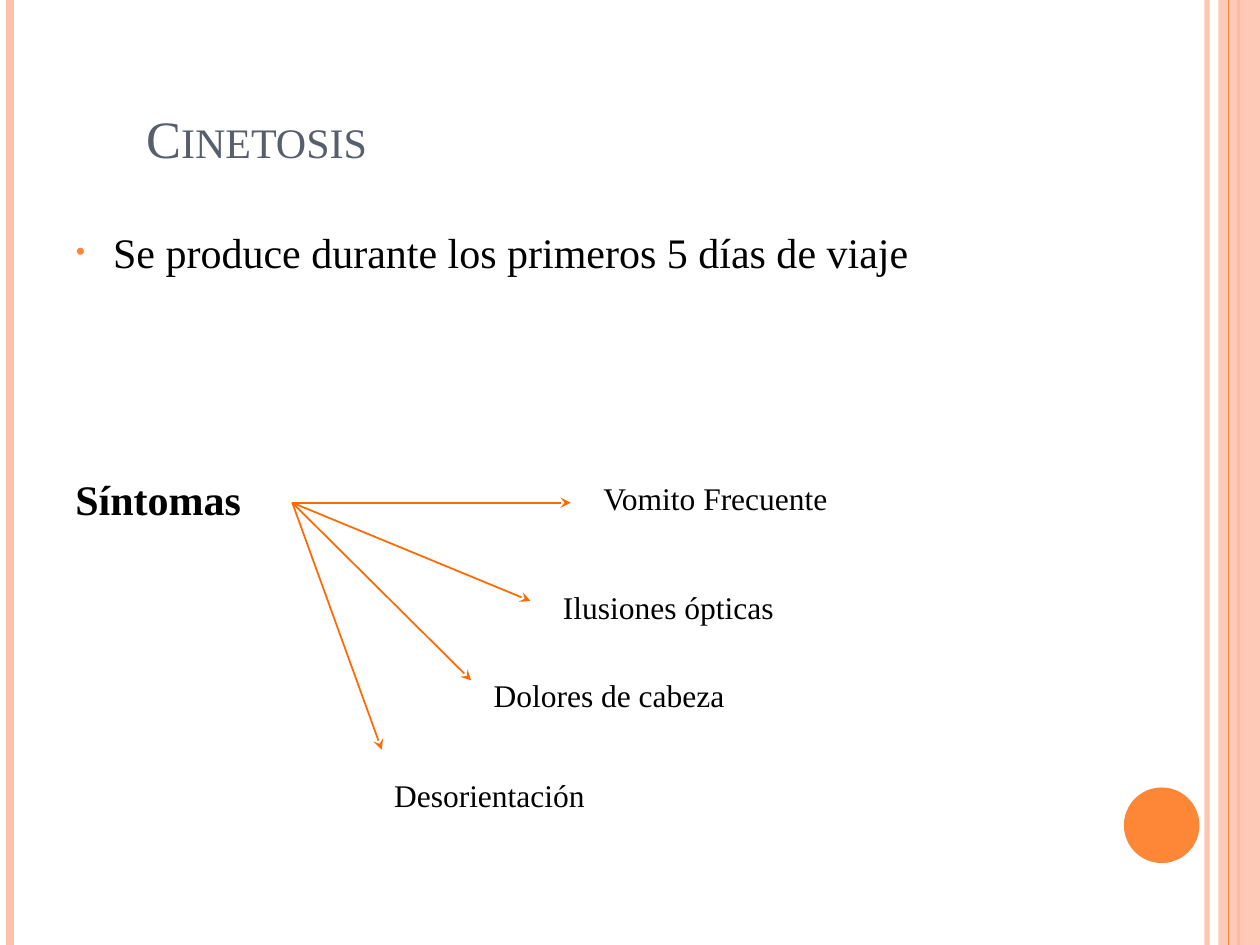
import pptx
import pptx.util
from dataclasses import dataclass
from lxml import etree
from pptx.dml.color import RGBColor
from pptx.enum.shapes import MSO_CONNECTOR, MSO_SHAPE
from pptx.enum.text import MSO_ANCHOR, MSO_AUTO_SIZE, PP_ALIGN
from pptx.oxml.ns import qn
from pptx.util import Inches, Pt


@dataclass(frozen=True)
class Theme:
    font: str = "Times New Roman"
    heading: str = "575F6D"
    ink: str = "000000"
    accent: str = "FE8637"
    tint: str = "FEC2AC"
    arrow: str = "FF6803"
    title_size: int = 30
    body_size: int = 24
    label_size: int = 18


THEME = Theme()
WIDTH, HEIGHT = 10, 7.5

TITLE = "Cinetosis"
STATEMENT = "Se produce durante los primeros 5 días de viaje"
SYMPTOMS_HEADING = "Síntomas"
# symptom, arrow tip, label corner
SYMPTOMS = [
    ("Vomito Frecuente", (4.53, 3.99), (4.69, 3.75)),
    ("Ilusiones ópticas", (4.21, 4.77), (4.37, 4.62)),
    ("Dolores de cabeza", (3.74, 5.4), (3.82, 5.32)),
    ("Desorientación", (3.03, 5.95), (3.03, 6.11)),
]
ARROW_ORIGIN = (2.32, 3.99)
LABEL_SIZE = (2.76, 0.4)

# x, colour, width in points, opacity in percent
STRIPES_BEHIND_BAND = [
    (9.58, THEME.tint, 3, 93),
    (0.08, THEME.tint, 4.5, 100),
    (9.83, THEME.accent, 1.5, 100),
]
STRIPE_OVER_BAND = (9.75, THEME.accent, 0.75, 100)
BAND = (9.67, 0, 0.33, HEIGHT)
BAND_OPACITY = 87
DISC = (8.92, 6.25, 0.6, 0.6)


def inches(values):
    return [Inches(value) for value in values]


def set_opacity(properties, percent):
    if percent < 100:
        colour = next(properties.iter(qn("a:srgbClr")))
        etree.SubElement(colour, qn("a:alpha"), val=str(percent * 1000))


def add_line(slide, start, end, colour, width, opacity=100, arrow=False):
    line = slide.shapes.add_connector(MSO_CONNECTOR.STRAIGHT, *inches(start + end))
    line.line.color.rgb = RGBColor.from_string(colour)
    line.line.width = Pt(width)
    properties = line.element.spPr
    set_opacity(properties, opacity)
    if arrow:
        etree.SubElement(properties.find(qn("a:ln")), qn("a:tailEnd"), type="stealth")
    etree.SubElement(properties, qn("a:effectLst"))


def add_stripe(slide, x, colour, width, opacity):
    add_line(slide, (x, 0), (x, HEIGHT), colour, width, opacity)


def add_filled(slide, kind, place, colour, opacity=100):
    shape = slide.shapes.add_shape(kind, *inches(place))
    shape.shadow.inherit = False
    shape.fill.solid()
    shape.fill.fore_color.rgb = RGBColor.from_string(colour)
    shape.line.fill.background()
    set_opacity(shape.element.spPr, opacity)


def style(paragraph, size, colour=THEME.ink, bold=False):
    for run in paragraph.runs:
        run.font.name = THEME.font
        run.font.size = Pt(size)
        run.font.bold = bold
        run.font.color.rgb = RGBColor.from_string(colour)


def add_text(slide, place, lines, size):
    box = slide.shapes.add_textbox(*inches(place))
    frame = box.text_frame
    frame.word_wrap = True
    frame.text = "\n".join(lines)
    for paragraph in frame.paragraphs:
        style(paragraph, size)
    return frame.paragraphs


def add_bullet(paragraph):
    properties = paragraph._p.get_or_add_pPr()
    properties.set("marL", str(Inches(0.3)))
    properties.set("indent", str(Inches(-0.3)))
    colour = etree.SubElement(properties, qn("a:buClr"))
    etree.SubElement(colour, qn("a:srgbClr"), val=THEME.accent)
    etree.SubElement(properties, qn("a:buSzPct"), val="70000")
    etree.SubElement(properties, qn("a:buFont"), typeface=THEME.font)
    etree.SubElement(properties, qn("a:buChar"), char="•")


def add_background(slide):
    for stripe in STRIPES_BEHIND_BAND:
        add_stripe(slide, *stripe)
    add_filled(slide, MSO_SHAPE.RECTANGLE, BAND, THEME.tint, BAND_OPACITY)
    add_stripe(slide, *STRIPE_OVER_BAND)
    add_filled(slide, MSO_SHAPE.OVAL, DISC, THEME.accent)


def add_title(slide):
    title = slide.shapes.title
    title.left, title.top, title.width, title.height = inches((1.06, 0.14, 8.17, 1.25))
    frame = title.text_frame
    frame.text = TITLE
    frame.auto_size = MSO_AUTO_SIZE.NONE
    frame.vertical_anchor = MSO_ANCHOR.BOTTOM
    heading = frame.paragraphs[0]
    heading.alignment = PP_ALIGN.LEFT
    style(heading, THEME.title_size, THEME.heading)
    heading.runs[0].font._element.set("cap", "small")


def add_body(slide):
    statement, symptoms = add_text(
        slide, (0.5, 1.75, 8.17, 5.33), [STATEMENT, SYMPTOMS_HEADING], THEME.body_size)
    add_bullet(statement)
    symptoms.space_before = Pt(112)
    style(symptoms, THEME.body_size, bold=True)


def add_symptoms(slide):
    for symptom, tip, corner in SYMPTOMS:
        add_line(slide, ARROW_ORIGIN, tip, THEME.arrow, 1, arrow=True)
        add_text(slide, corner + LABEL_SIZE, [symptom], THEME.label_size)


def main():
    deck = pptx.Presentation()
    deck.slide_width, deck.slide_height = inches((WIDTH, HEIGHT))
    slide = deck.slides.add_slide(deck.slide_layouts.get_by_name("Title Only"))
    add_background(slide)
    add_title(slide)
    add_body(slide)
    add_symptoms(slide)
    deck.save("out.pptx")


if __name__ == "__main__":
    main()
